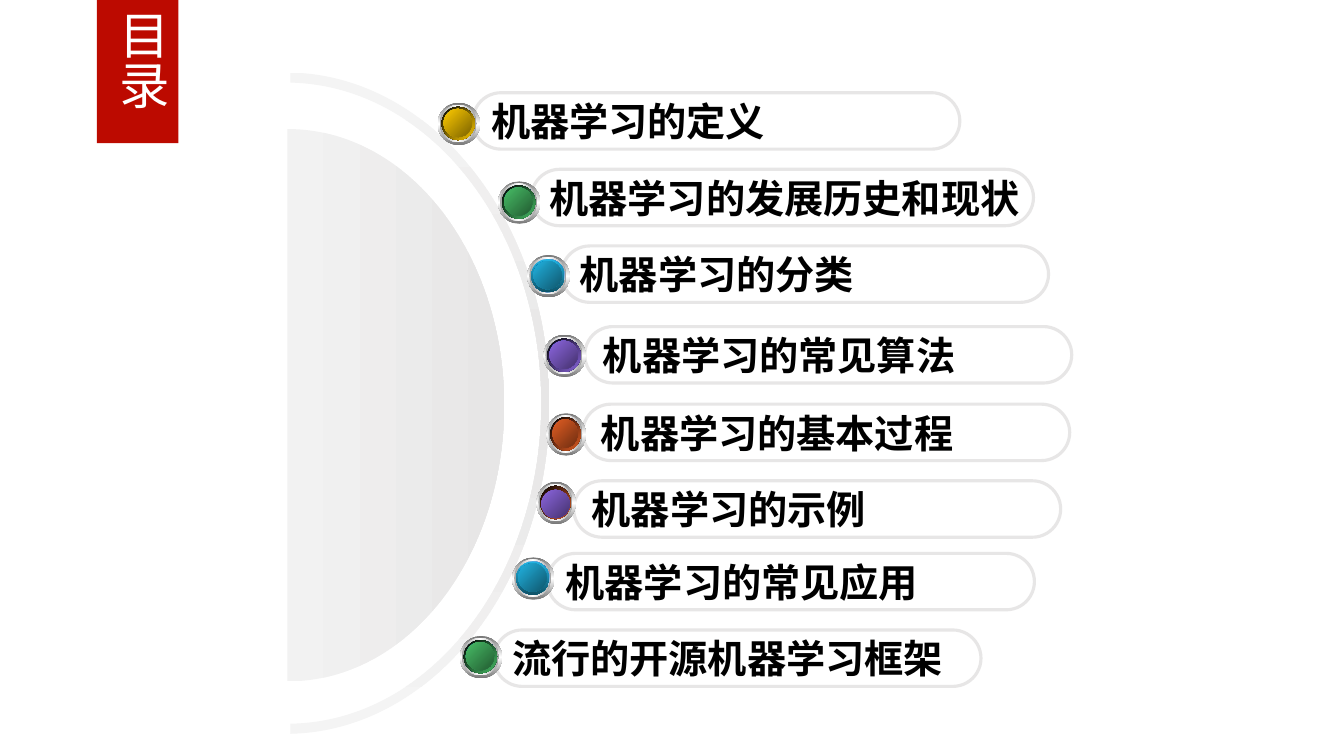
from pptx import Presentation, util as u
from pptx.dml.color import RGBColor
from pptx.enum import shapes, text
from pptx.oxml import parse_xml
from pptx.oxml.ns import nsdecls, qn

WHITE = RGBColor(0xFF, 0xFF, 0xFF)
BLACK = RGBColor(0, 0, 0)
RED = RGBColor(0xBC, 0x0A, 0x00)
MIST = RGBColor(0xF4, 0xF4, 0xF4)
FOG = RGBColor(0xF2, 0xF2, 0xF2)
PALE = RGBColor(0xE7, 0xE6, 0xE6)
STEEL = RGBColor(0x76, 0x76, 0x76)
SILVER = RGBColor(0xA2, 0xA2, 0xA2)
BLUE = RGBColor(0x05, 0x63, 0xC1)
NAVY = RGBColor(0x04, 0x4C, 0x94)
GOLD = RGBColor(0xFF, 0xCC, 0x00)
DARK_GOLD = RGBColor(0x7C, 0x63, 0x00)
GREEN = RGBColor(0x48, 0xBE, 0x67)
DARK_GREEN = RGBColor(0x23, 0x5C, 0x32)
CYAN = RGBColor(0x21, 0xB3, 0xE1)
DARK_CYAN = RGBColor(0x10, 0x57, 0x6D)
RIM_CYAN = RGBColor(0x0F, 0x53, 0x68)
PURPLE = RGBColor(0x8D, 0x67, 0xE1)
DARK_PURPLE = RGBColor(0x45, 0x32, 0x6D)
ORANGE = RGBColor(0xE3, 0x5E, 0x23)
DARK_ORANGE = RGBColor(0x6E, 0x2E, 0x11)

SERIF, SANS, CJK = "Times New Roman", "Arial", "Noto Sans CJK SC"

prs = Presentation()
prs.slide_width, prs.slide_height = u.Inches(13.33), u.Inches(7.5)
COL = prs.slide_width / 13.33
ROW = prs.slide_height / 7.5
s = prs.slides.add_slide(prs.slide_layouts[5])


def shade(sp, colors, angle):
    sp.shadow.inherit = False
    sp.line.fill.background()
    sp.fill.gradient()
    grad = sp.fill._xPr.find(qn("a:gradFill"))
    stops = "".join(
        f'<a:gs pos="{100000 * i // (len(colors) - 1)}"><a:srgbClr val="{c}"/></a:gs>'
        for i, c in enumerate(colors))
    grad.getparent().replace(grad, parse_xml(
        f'<a:gradFill {nsdecls("a")} rotWithShape="1"><a:gsLst>{stops}</a:gsLst>'
        f'<a:lin ang="{angle * 60000}" scaled="0"/></a:gradFill>'))


def write(sp, words, font, **look):
    p = sp.text_frame.paragraphs[0]
    r = p.add_run()
    r.text = words
    r.font.name = font
    r.font.color.rgb = look.pop("color")
    p.alignment = look.pop("align")
    for name, value in look.items():
        setattr(r.font, name, value)
    r.font._element.find(qn("a:latin")).addnext(
        parse_xml(f'<a:ea {nsdecls("a")} typeface="{CJK}"/>'))


title = s.shapes.title
title.left, title.top = int(0.96 * COL), 0
title.width, title.height = int(0.81 * COL), int(1.42 * ROW)
title.fill.solid()
title.fill.fore_color.rgb = RED
tf = title.text_frame
tf.vertical_anchor = text.MSO_ANCHOR.TOP
tf.auto_size = text.MSO_AUTO_SIZE.SHAPE_TO_FIT_TEXT
tf.margin_top, tf.margin_right = u.Inches(0.1), u.Inches(0.05)
tf._txBody.bodyPr.set("vert", "eaVert")
write(title, "目录", CJK, color=WHITE, align=text.PP_ALIGN.CENTER, size=u.Pt(36))

outer = [(2.88, 0.72), (4.3, 0.75), (5.45, 2.21), (5.45, 4), (5.45, 5.79), (4.3, 7.25), (2.88, 7.28)]
inner = [(2.88, 7.18), (4.26, 7.16), (5.37, 5.74), (5.37, 4), (5.37, 2.26), (4.26, 0.85), (2.88, 0.82)]
disc = [(2.85, 1.28), (4.04, 1.28), (5, 2.51), (5, 4.02), (5, 5.54), (4.04, 6.76), (2.85, 6.76)]
arcs = s.shapes.add_group_shape()
for outline, colors, angle in [(outer + inner, (MIST, PALE, MIST), 90), (disc, (FOG, PALE), 0)]:
    points = [(x * COL, y * ROW) for x, y in outline]
    fb = arcs.shapes.build_freeform(*points[0])
    fb.add_line_segments(points[1:], close=True)
    sp = fb.convert_to_shape()
    lines = list(sp._element.iter(qn("a:lnTo")))
    for start in range(0, len(lines), 7):
        curves = lines[start:start + 6]
        for first in (0, 3):
            curve = parse_xml(f'<a:cubicBezTo {nsdecls("a")}/>')
            curves[first].addprevious(curve)
            for line in curves[first:first + 3]:
                curve.append(line[0])
                line.getparent().remove(line)
    shade(sp, colors, angle)

topics = [
    ("机器学习的定义", SERIF, 4.69, 0.92, 4.83),
    ("机器学习的发展历史和现状", SERIF, 5.27, 1.68, 4.98),
    ("机器学习的分类", SERIF, 5.57, 2.44, 4.83),
    ("机器学习的常见算法", SERIF, 5.8, 3.24, 4.83),
    ("机器学习的基本过程", SERIF, 5.78, 4.01, 4.83),
    ("机器学习的示例", SERIF, 5.69, 4.77, 4.83),
    ("机器学习的常见应用", SANS, 5.43, 5.49, 4.83),
    ("流行的开源机器学习框架", SANS, 4.9, 6.25, 4.83),
]
for words, font, x, y, w in topics:
    sp = s.shapes.add_shape(shapes.MSO_SHAPE.ROUNDED_RECTANGLE, int(x * COL), int(y * ROW),
                            int(w * COL), int(0.56 * ROW))
    sp.adjustments[0] = 0.5
    sp.shadow.inherit = False
    sp.fill.background()
    sp.line.color.rgb = PALE
    sp.line.width = u.Pt(2.25)
    sp.text_frame.word_wrap = False
    sp.text_frame.vertical_anchor = text.MSO_ANCHOR.MIDDLE
    write(sp, words, font, color=BLACK, align=text.PP_ALIGN.LEFT, size=u.Pt(28), bold=True)

dots = [
    (4.34, 1.02, 0.42, (BLACK, GOLD), 45, (GOLD, DARK_GOLD)),
    (4.94, 1.8, 0.42, (BLACK, GREEN), 45, (GREEN, DARK_GREEN)),
    (5.23, 2.53, 0.42, (CYAN, RIM_CYAN), 90, (CYAN, DARK_CYAN)),
    (5.39, 3.32, 0.42, (BLACK, PURPLE), 45, (PURPLE, DARK_PURPLE)),
    (5.42, 4.1, 0.39, (BLACK, ORANGE), 45, (ORANGE, DARK_ORANGE)),
    (5.32, 4.78, 0.39, (BLACK, ORANGE), 45, None),
    (5.08, 5.53, 0.42, (CYAN, RIM_CYAN), 90, (CYAN, DARK_CYAN)),
    (4.56, 6.31, 0.42, (BLACK, GREEN), 45, (GREEN, DARK_GREEN)),
]
for x, y, w, rim, rim_angle, core in dots:
    layers = [(0, 0, (STEEL, WHITE, STEEL), 90), (0.02, 0.05, (SILVER, WHITE, SILVER), 0),
              (0.04, 0.09, (WHITE, BLUE, WHITE), 45), (0.04, 0.09, rim, rim_angle)]
    if core:
        layers += [(0.06, 0.14, (NAVY, BLUE, NAVY), 315), (0.06, 0.14, core, 45)]
    dot = s.shapes.add_group_shape()
    for inset, less, colors, angle in layers:
        sp = dot.shapes.add_shape(shapes.MSO_SHAPE.OVAL, int((x + inset) * COL),
                                  int((y + inset) * ROW), int((w - less) * COL),
                                  int((0.42 - less) * ROW))
        shade(sp, colors, angle)

example_core = s.shapes.add_shape(shapes.MSO_SHAPE.OVAL, int(5.37 * COL), int(4.86 * ROW),
                                  int(0.28 * COL), int(0.28 * ROW))
shade(example_core, (PURPLE, DARK_PURPLE), 45)

prs.save("out.pptx")
